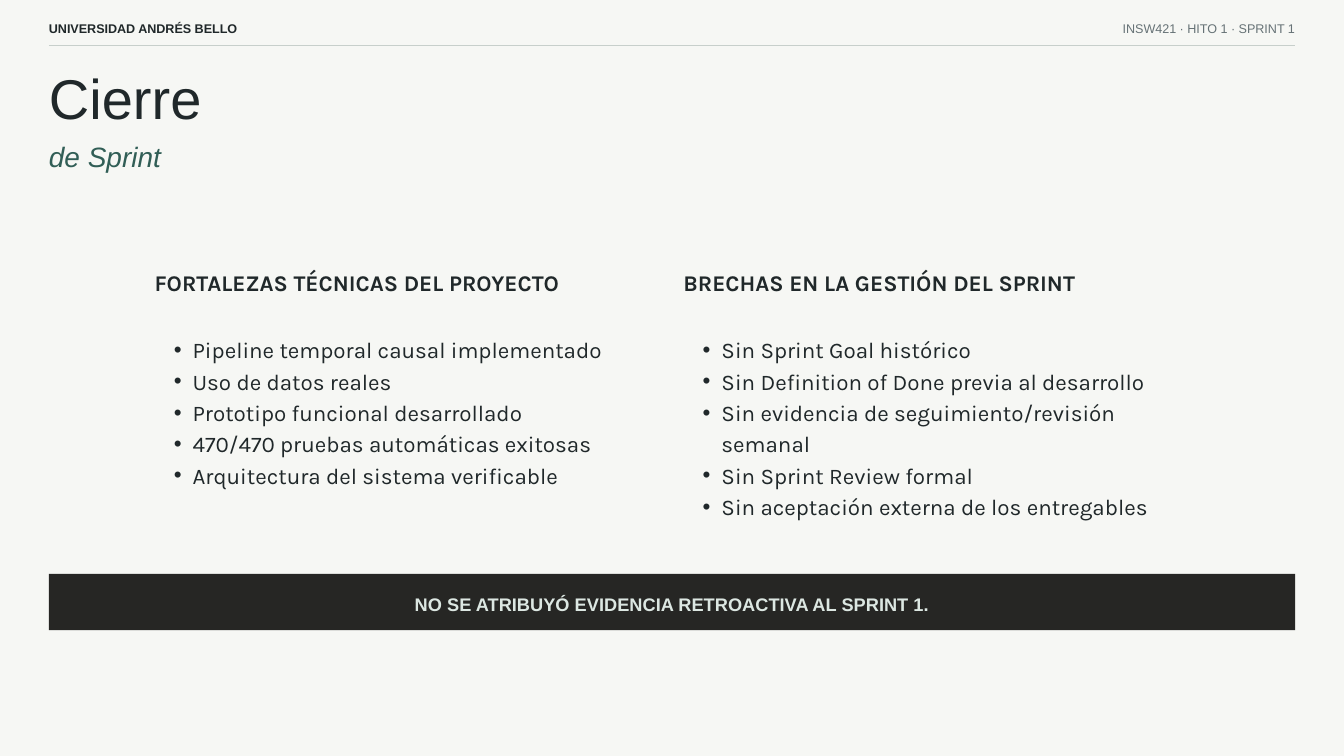
from pptx import Presentation
from pptx import util as u
from pptx.dml.color import RGBColor
from pptx.enum import shapes, text
from pptx.oxml.ns import qn
from lxml import etree

INK, GREEN, GREY = "20282A", "315E56", "667276"
PAPER, RULE, BAR, MINT = "F6F7F4", "C7CFCB", "262624", "DCE7E2"
MARGIN, CONTENT_WIDTH = 1.85, 47.1

COLUMNS = [
    ("FORTALEZAS TÉCNICAS DEL PROYECTO", [
        "Pipeline temporal causal implementado",
        "Uso de datos reales",
        "Prototipo funcional desarrollado",
        "470/470 pruebas automáticas exitosas",
        "Arquitectura del sistema verificable",
    ]),
    ("BRECHAS EN LA GESTIÓN DEL SPRINT", [
        "Sin Sprint Goal histórico",
        "Sin Definition of Done previa al desarrollo",
        "Sin evidencia de seguimiento/revisión semanal",
        "Sin Sprint Review formal",
        "Sin aceptación externa de los entregables",
    ]),
]


def color(value):
    return RGBColor.from_string(value)


def place(shape, left, top, width, height):
    shape.left, shape.top = u.Cm(left), u.Cm(top)
    shape.width, shape.height = u.Cm(width), u.Cm(height)


def add_text_box(slide, left, top, width, height):
    return slide.shapes.add_textbox(u.Cm(left), u.Cm(top), u.Cm(width), u.Cm(height))


def add_bullet(paragraph, margin=1.44, hanging=0.71):
    properties = paragraph._p.get_or_add_pPr()
    properties.set("marL", str(u.Cm(margin)))
    properties.set("indent", str(-u.Cm(hanging)))
    etree.SubElement(properties, qn("a:buFont")).set("typeface", "Arial")
    etree.SubElement(properties, qn("a:buChar")).set("char", "•")


def write(shape, lines, size, spacing, fill=INK, font="Arial", bold=False,
          italic=False, align=text.PP_ALIGN.LEFT, anchor=text.MSO_ANCHOR.TOP,
          bullets=False):
    """Fill a shape with one formatted paragraph per line; spacing is in points."""
    frame = shape.text_frame
    frame.word_wrap = True
    frame.auto_size = text.MSO_AUTO_SIZE.NONE
    frame.vertical_anchor = anchor
    frame.margin_left = frame.margin_right = frame.margin_top = frame.margin_bottom = 0
    for index, line in enumerate(lines):
        paragraph = frame.add_paragraph() if index else frame.paragraphs[0]
        if bullets:
            add_bullet(paragraph)
        paragraph.alignment = align
        paragraph.line_spacing = u.Pt(spacing)
        paragraph.space_before = u.Pt(0)
        run = paragraph.add_run()
        run.text = line
        run.font.name, run.font.size = font, u.Pt(size)
        run.font.bold, run.font.italic = bold, italic
        run.font.color.rgb = color(fill)


def add_header(slide, left, top, width):
    label_width, label_height = 13.23, 0.66
    university = add_text_box(slide, left, top, label_width, label_height)
    write(university, ["UNIVERSIDAD ANDRÉS BELLO"], 13.5, 18.9, bold=True)
    course = add_text_box(slide, left + width - label_width, top, label_width, label_height)
    write(course, ["INSW421 · HITO 1 · SPRINT 1"], 13.5, 18.9, fill=GREY,
          align=text.PP_ALIGN.RIGHT)
    rule_top = u.Cm(top + 1.03)
    rule = slide.shapes.add_connector(shapes.MSO_CONNECTOR.STRAIGHT, u.Cm(left),
                                      rule_top, u.Cm(left + width), rule_top)
    rule.line.color.rgb = color(RULE)
    rule.line.width = u.Pt(1)
    etree.SubElement(rule._element.spPr, qn("a:effectLst"))


def add_title(slide, left, top, width):
    title = slide.shapes.title
    place(title, left, top, width, 2.95)
    write(title, ["Cierre"], 60, 84)
    subtitle = add_text_box(slide, left, top + 3.1, width, 1.47)
    write(subtitle, ["de Sprint"], 30, 42, fill=GREEN, italic=True)


def fill_column(heading, body, content, left, top, width):
    heading_text, items = content
    place(heading, left, top, width, 1.02)
    write(heading, [heading_text], 24, 28.8, font="Karla", bold=True)
    place(body, left, top + 2.39, width, 6.9)
    write(body, items, 24, 33.6, font="Karla", bullets=True)


def add_conclusion(slide, left, top, width, height):
    bar = slide.shapes.add_shape(shapes.MSO_SHAPE.RECTANGLE, u.Cm(left), u.Cm(top),
                                 u.Cm(width), u.Cm(height))
    bar.shadow.inherit = False
    bar.fill.solid()
    bar.fill.fore_color.rgb = color(BAR)
    bar.line.fill.background()
    write(bar, ["NO SE ATRIBUYÓ EVIDENCIA RETROACTIVA AL SPRINT 1."], 19.5, 27.3,
          fill=MINT, bold=True, align=text.PP_ALIGN.CENTER, anchor=text.MSO_ANCHOR.MIDDLE)


def build_closing_slide(presentation):
    comparison = presentation.slide_layouts.get_by_name("Comparison")
    slide = presentation.slides.add_slide(comparison)
    slide.background.fill.solid()
    slide.background.fill.fore_color.rgb = color(PAPER)

    add_header(slide, MARGIN, 0.69, CONTENT_WIDTH)
    add_title(slide, MARGIN, 1.98, CONTENT_WIDTH)
    column_width, gap = 19.13, 0.86
    for index, content in enumerate(COLUMNS):
        heading = slide.placeholders[1 + 2 * index]
        body = slide.placeholders[2 + 2 * index]
        left = 5.84 + index * (column_width + gap)
        fill_column(heading, body, content, left, 10.16, column_width)
    add_conclusion(slide, MARGIN, 21.7, CONTENT_WIDTH, 2.12)


def main():
    presentation = Presentation()
    presentation.slide_width, presentation.slide_height = u.Cm(50.8), u.Cm(28.58)
    build_closing_slide(presentation)
    presentation.save("out.pptx")


if __name__ == "__main__":
    main()
